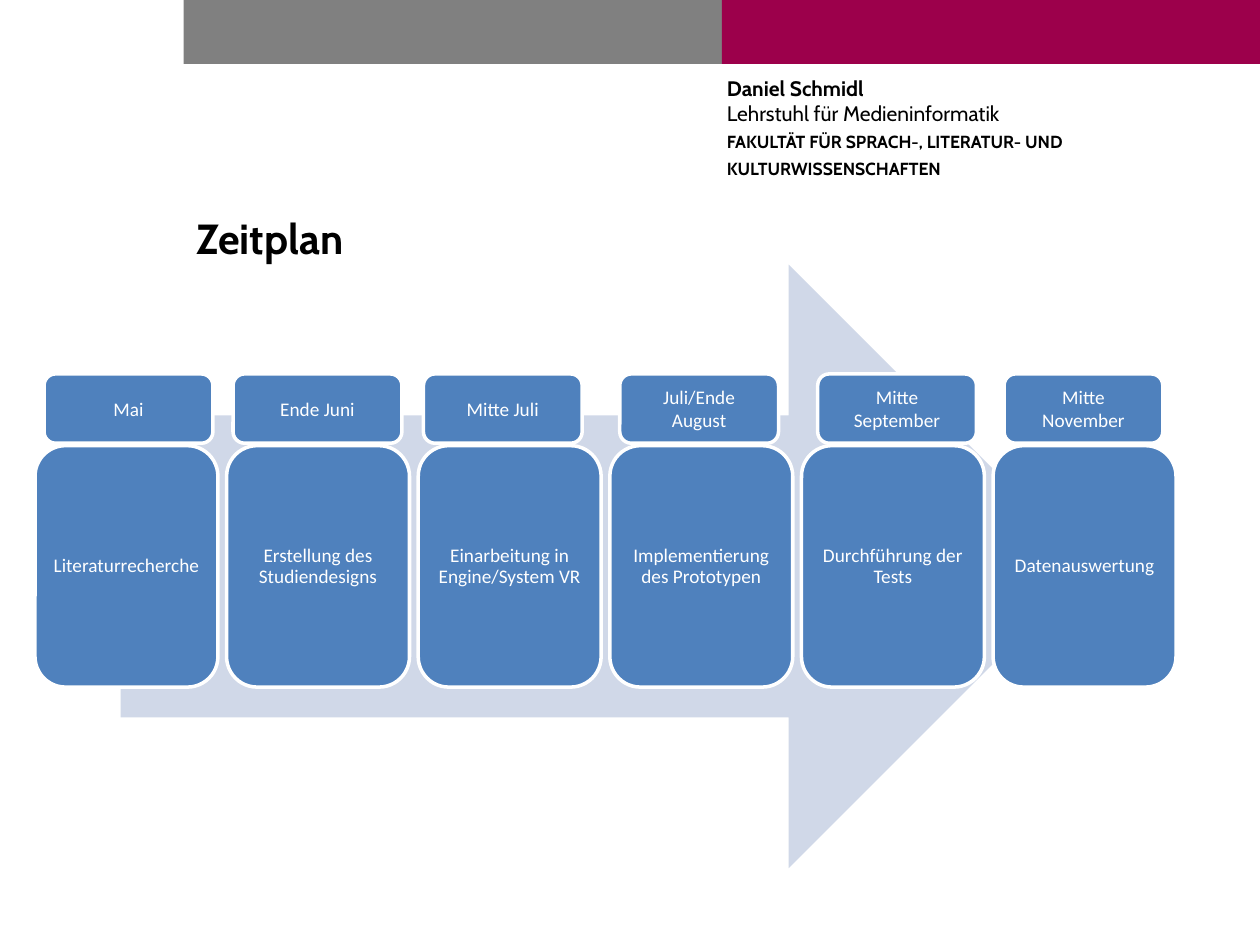
from dataclasses import dataclass

from pptx import Presentation
from pptx.dml.color import RGBColor
from pptx.enum.shapes import MSO_SHAPE as Shape
from pptx.enum.text import MSO_ANCHOR as Anchor, PP_ALIGN as Align
from pptx.util import Pt


@dataclass(frozen=True)
class Theme:
    """Colours, fonts and type sizes of the deck."""
    gray: str = "808080"
    crimson: str = "9C004B"
    pale: str = "D0D8E8"
    blue: str = "4F81BD"
    white: str = "FFFFFF"
    black: str = "000000"
    heading_font: str = "Cabin"
    body_font: str = "Calibri"
    title_size: int = 24
    name_size: int = 12
    faculty_size: int = 10
    step_size: int = 11


THEME = Theme()
STEPS = [
    ("Mai", "Literaturrecherche"),
    ("Ende Juni", "Erstellung des Studiendesigns"),
    ("Mitte Juli", "Einarbeitung in Engine/System VR"),
    ("Juli/Ende August", "Implementierung des Prototypen"),
    ("Mitte September", "Durchführung der Tests"),
    ("Mitte November", "Datenauswertung"),
]
DATE_SPANS = [(25.2, 96.5), (133.2, 96.5), (242, 90.7),
              (354.2, 90.7), (467.3, 90.7), (573.8, 90.7)]


def set_all(target, values):
    """Set every attribute in a dict of format values."""
    for name, value in values.items():
        setattr(target, name, value)


def add_span(para, text, size, color, font, bold=False):
    """Add one formatted run to a paragraph."""
    span = para.add_run()
    span.text = text
    set_all(span.font, {"size": Pt(size), "name": font, "bold": bold})
    span.font.color.rgb = RGBColor.from_string(color)


def set_frame(frame, inset_x, inset_y, anchor=Anchor.TOP):
    """Set wrapping, anchor and insets of a text frame."""
    set_all(frame, {
        "word_wrap": True, "vertical_anchor": anchor,
        "margin_left": Pt(inset_x), "margin_right": Pt(inset_x),
        "margin_top": Pt(inset_y), "margin_bottom": Pt(inset_y),
    })


def add_block(page, kind, box, fill, outline=None):
    """Add a filled preset shape, with an outline if a colour is given."""
    block = page.shapes.add_shape(kind, *map(Pt, box))
    block.shadow.inherit = False
    block.fill.solid()
    block.fill.fore_color.rgb = RGBColor.from_string(fill)
    if outline:
        block.line.color.rgb = RGBColor.from_string(outline)
        block.line.width = Pt(2)
    else:
        block.line.fill.background()
    return block


def add_card(page, box, text, inset_x=7.2, line_spacing=1.0):
    """Add a rounded blue card with centred white text."""
    card = add_block(page, Shape.ROUNDED_RECTANGLE, box, THEME.blue, THEME.white)
    set_frame(card.text_frame, inset_x, 3.6, Anchor.MIDDLE)
    para = card.text_frame.paragraphs[0]
    set_all(para, {"alignment": Align.CENTER, "line_spacing": line_spacing})
    add_span(para, text, THEME.step_size, THEME.white, THEME.body_font)


def add_banner(page, box):
    """Split the top band into a gray and a crimson half."""
    left, top, width, height = box
    half = width / 2
    for index, color in enumerate((THEME.gray, THEME.crimson)):
        add_block(page, Shape.RECTANGLE, (left + index * half, top, half, height), color)


def add_sender(page, box):
    """Write the author, chair and faculty."""
    frame = page.shapes.add_textbox(*map(Pt, box)).text_frame
    set_frame(frame, 0, 0)
    author = frame.paragraphs[0]
    author.space_after = Pt(3)
    add_span(author, "Daniel Schmidl", THEME.name_size, THEME.black, THEME.heading_font, True)
    author.add_line_break()
    add_span(author, "Lehrstuhl für Medieninformatik", THEME.name_size,
             THEME.black, THEME.heading_font)
    for text in ("FAKULTÄT FÜR SPRACH-, LITERATUR- UND", "KULTURWISSENSCHAFTEN"):
        para = frame.add_paragraph()
        para.space_after = Pt(3)
        add_span(para, text, THEME.faculty_size, THEME.black, THEME.heading_font, True)


def add_title(page, box):
    """Write the slide title."""
    frame = page.shapes.add_textbox(*map(Pt, box)).text_frame
    set_frame(frame, 7.2, 3.6)
    add_span(frame.paragraphs[0], "Zeitplan", THEME.title_size,
             THEME.black, THEME.heading_font, True)


def add_timeline(page, box):
    """Place the arrow, an even row of steps and their dates."""
    left, top, width, height = box
    arrow_width = width * 0.85
    add_block(page, Shape.RIGHT_ARROW,
              (left + (width - arrow_width) / 2, top, arrow_width, height), THEME.pale)
    gap = 5
    card_width = (width - gap * (len(STEPS) - 1)) / len(STEPS)
    card_height = height * 0.4
    card_top = top + (height - card_height) / 2
    for index, (_, task) in enumerate(STEPS):
        card_left = left + index * (card_width + gap)
        add_card(page, (card_left, card_top, card_width, card_height), task, 3.6, 0.9)
    for (date, _), (date_left, date_width) in zip(STEPS, DATE_SPANS):
        add_card(page, (date_left, card_top - 41, date_width, 39.6), date)


def main():
    """Build and save the deck."""
    deck = Presentation()
    set_all(deck, {"slide_width": Pt(720), "slide_height": Pt(540)})
    page = deck.slides.add_slide(deck.slide_layouts[6])
    add_banner(page, (105, 0, 615, 36.5))
    add_sender(page, (415.4, 43.2, 290.9, 67.7))
    add_title(page, (105, 118, 566, 54.7))
    add_timeline(page, (20, 151.2, 652, 344.9))
    deck.save("out.pptx")


if __name__ == "__main__":
    main()
